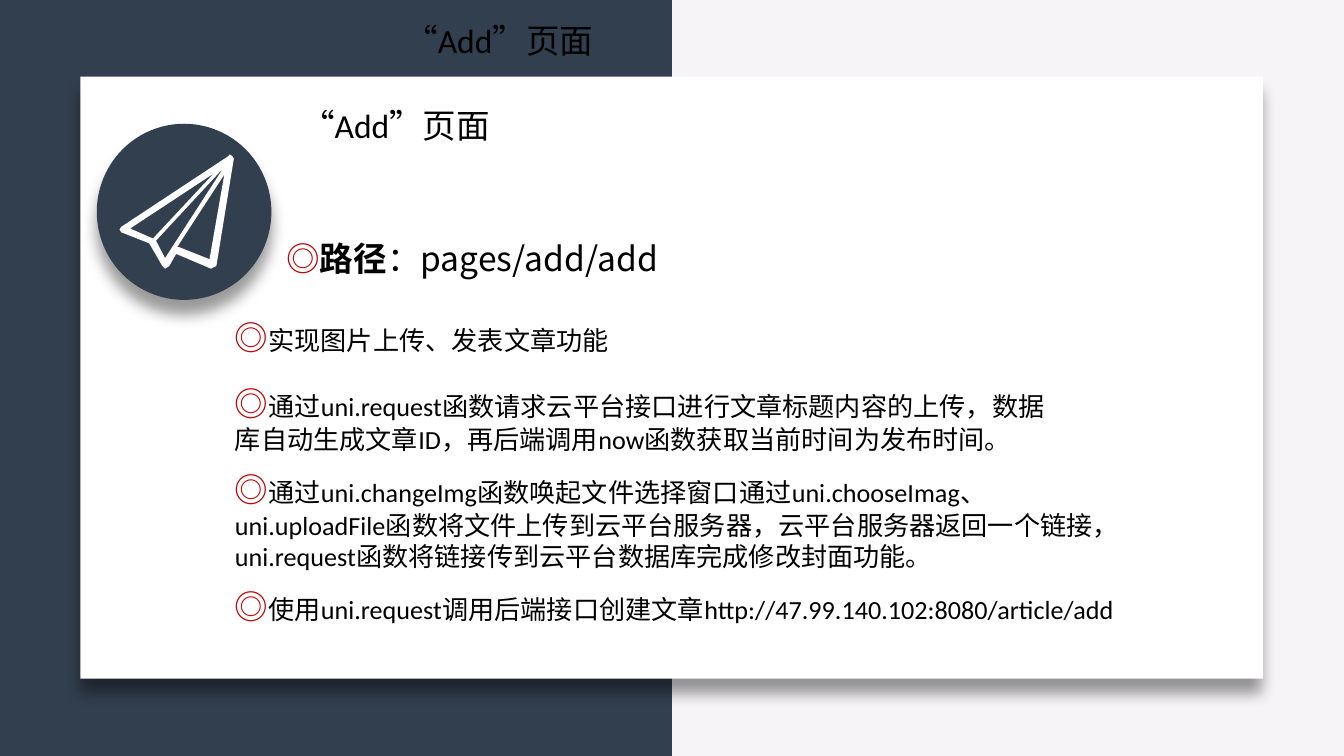
from dataclasses import dataclass

from lxml.etree import SubElement
from pptx import Presentation
from pptx.dml.color import RGBColor
from pptx.enum.shapes import MSO_SHAPE as Preset
from pptx.oxml.ns import qn
from pptx.shapes.autoshape import Shape
from pptx.slide import Slide
from pptx.util import Cm, Pt

NAVY = RGBColor(0x32, 0x3F, 0x4F)
PALE = RGBColor(0xF6, 0xF4, 0xF7)
WHITE = RGBColor(0xFF, 0xFF, 0xFF)
BLACK = RGBColor(0x00, 0x00, 0x00)
RED = RGBColor(0xC0, 0x00, 0x00)

LATIN = "Calibri"
CJK = "Noto Sans CJK SC"
SLIDE_W, SLIDE_H = 25.4, 14.29
LINE_H = 1.02
NOTE_LEFT = 4.19


@dataclass(frozen=True)
class Span:
    text: str
    size: int = 18
    font: str = LATIN
    color: RGBColor = BLACK
    bold: bool = False


@dataclass(frozen=True)
class TextBlock:
    left: float
    top: float
    width: float
    height: float
    spans: tuple[Span, ...]


MARKER = Span("◎", font=CJK, color=RED)
HEADING = (Span("“Add”页面"),)


def note(top: float, width: float, height: float, text: str) -> TextBlock:
    """A feature note that opens with the red marker."""
    return TextBlock(NOTE_LEFT, top, width, height, (MARKER, Span(text, size=14)))


TEXT_BLOCKS = (
    TextBlock(5.44, 1.85, 9.14, LINE_H, HEADING),
    TextBlock(7.39, 0.25, 9.14, LINE_H, HEADING),
    TextBlock(5.16, 4.37, 18.44, LINE_H, (
        MARKER,
        Span("路径", font=CJK, bold=True),
        Span("：pages/add/add", font=CJK),
    )),
    note(5.87, 9.68, LINE_H, "实现图片上传、发表文章功能"),
    note(7.11, 15.95, 1.63,
         "通过uni.request函数请求云平台接口进行文章标题内容的上传，"
         "数据库自动生成文章ID，再后端调用now函数获取当前时间为发布时间。"),
    note(8.74, 17.53, 2.21,
         "通过uni.changeImg函数唤起文件选择窗口通过uni.chooseImag、"
         "uni.uploadFile函数将文件上传到云平台服务器，云平台服务器返回一个链接，"
         "uni.request函数将链接传到云平台数据库完成修改封面功能。"),
    note(10.95, 17.53, LINE_H,
         "使用uni.request调用后端接口创建文章http://47.99.140.102:8080/article/add"),
)

# Paper plane: outline, then its three openings, in hundredths of a centimetre.
PLANE = (
    ((439, 295), (434, 292), (432, 295), (229, 429), (226, 434), (229, 439),
     (282, 460), (307, 503), (312, 508), (320, 503), (333, 480), (399, 508),
     (404, 505), (409, 503), (442, 300)),
    ((396, 490), (338, 467), (335, 467), (424, 330)),
    ((295, 455), (422, 318), (312, 488)),
    ((246, 432), (404, 328), (290, 450), (287, 450)),
)


def paint(shape: Shape, color: RGBColor) -> None:
    shape.shadow.inherit = False
    shape.fill.solid()
    shape.fill.fore_color.rgb = color
    shape.line.fill.background()


def add_panel(slide: Slide, preset: Preset, left: float, top: float,
              width: float, height: float, color: RGBColor) -> Shape:
    panel = slide.shapes.add_shape(preset, Cm(left), Cm(top), Cm(width), Cm(height))
    paint(panel, color)
    return panel


def cast_shadow(shape: Shape) -> None:
    """Give the shape a soft black shadow straight below it."""
    effects = shape._element.spPr.find(qn("a:effectLst"))
    shadow = SubElement(effects, qn("a:outerShdw"), blurRad=str(Pt(8)),
                        dist=str(Pt(8)), dir="5400000", algn="t", rotWithShape="0")
    tint = SubElement(shadow, qn("a:srgbClr"), val=str(BLACK))
    SubElement(tint, qn("a:alpha"), val="40000")


def add_plane(slide: Slide) -> None:
    outline, *openings = PLANE
    builder = slide.shapes.build_freeform(*outline[0], scale=Cm(0.01))
    builder.add_line_segments(outline[1:], close=True)
    for opening in openings:
        builder.move_to(*opening[0])
        builder.add_line_segments(opening[1:], close=True)
    paint(builder.convert_to_shape(), WHITE)


def add_text(slide: Slide, block: TextBlock) -> None:
    frame = slide.shapes.add_textbox(
        Cm(block.left), Cm(block.top), Cm(block.width), Cm(block.height)).text_frame
    frame.word_wrap = True
    paragraph = frame.paragraphs[0]
    for span in block.spans:
        run = paragraph.add_run()
        run.text = span.text
        font = run.font
        font.size = Pt(span.size)
        font.bold = span.bold
        font.color.rgb = span.color
        font.name = span.font
        properties = run._r.get_or_add_rPr()
        properties.set("lang", "zh-CN")
        SubElement(properties, qn("a:ea"), typeface=CJK)


def main() -> None:
    deck = Presentation()
    deck.slide_width, deck.slide_height = Cm(SLIDE_W), Cm(SLIDE_H)
    slide = deck.slides.add_slide(deck.slide_layouts[6])
    slide.background.fill.solid()
    slide.background.fill.fore_color.rgb = PALE

    add_panel(slide, Preset.RECTANGLE, 0, 0, SLIDE_W / 2, SLIDE_H, NAVY)
    cast_shadow(add_panel(slide, Preset.RECTANGLE, 1.52, 1.45, 22.35, 11.38, WHITE))
    cast_shadow(add_panel(slide, Preset.OVAL, 1.83, 2.34, 3.3, 3.33, NAVY))
    add_plane(slide)
    for block in TEXT_BLOCKS:
        add_text(slide, block)

    deck.save("out.pptx")


if __name__ == "__main__":
    main()
